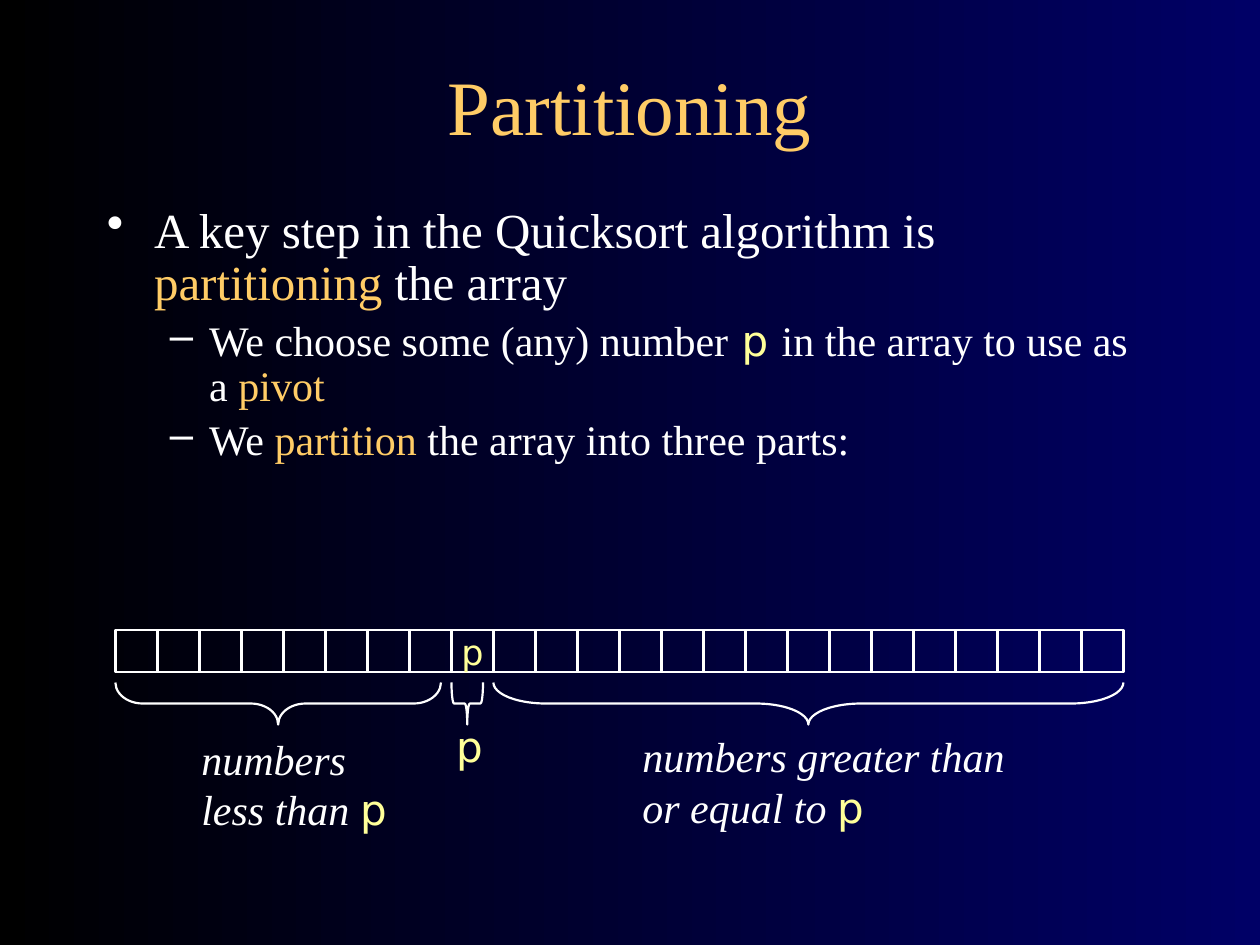
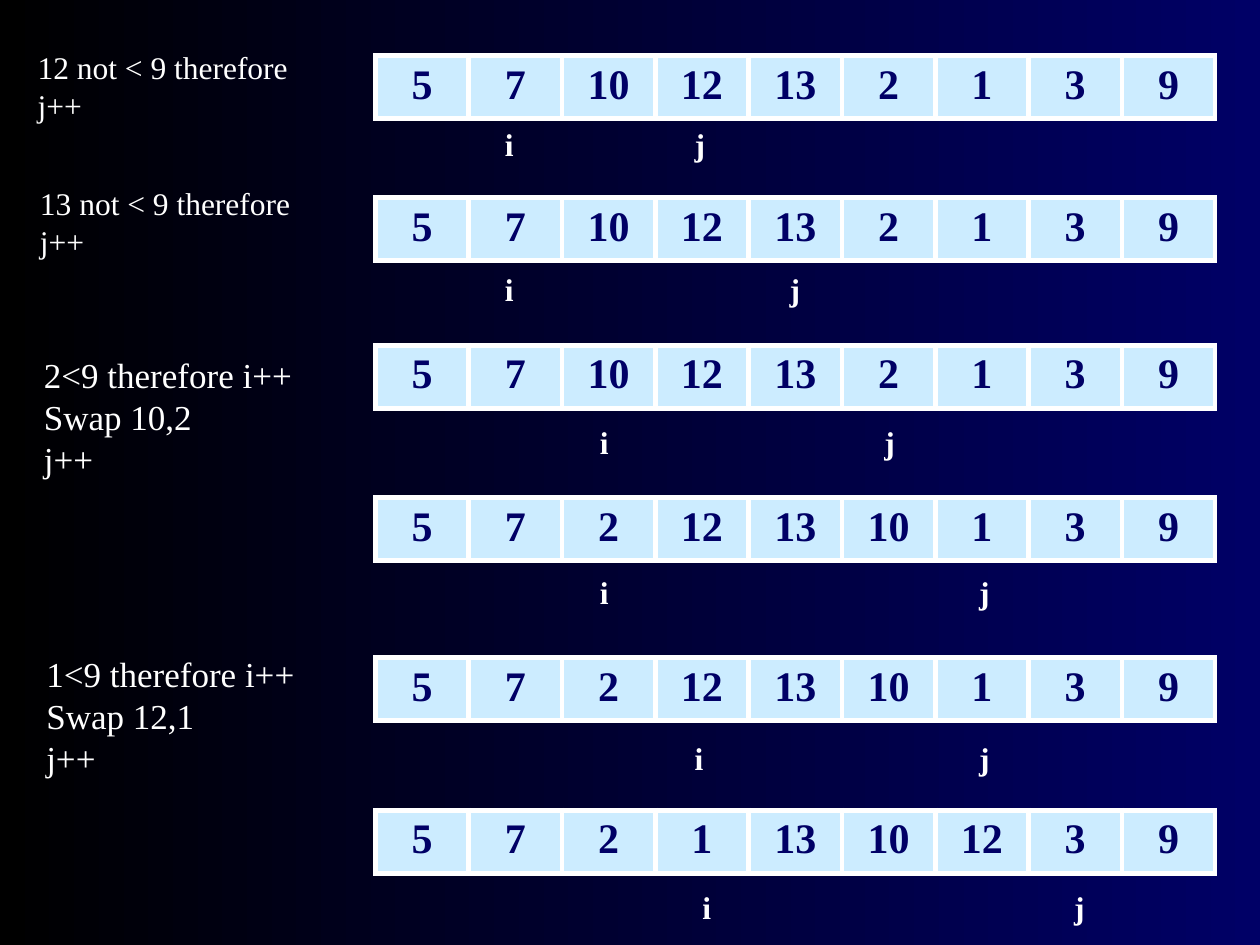
"""Two slides on the partitioning step of Quicksort."""
import pptx
import pptx.dml.color
import pptx.enum.shapes
import pptx.enum.text
import pptx.oxml
import pptx.oxml.ns
import pptx.util

Pt = pptx.util.Pt
RGBColor = pptx.dml.color.RGBColor
PP_ALIGN = pptx.enum.text.PP_ALIGN
MSO_ANCHOR = pptx.enum.text.MSO_ANCHOR
MSO_AUTO_SIZE = pptx.enum.text.MSO_AUTO_SIZE
MSO_SHAPE = pptx.enum.shapes.MSO_SHAPE

BLACK = RGBColor(0x00, 0x00, 0x00)
NAVY = RGBColor(0x00, 0x00, 0x66)
WHITE = RGBColor(0xFF, 0xFF, 0xFF)
GOLD = RGBColor(0xFF, 0xCC, 0x66)
YELLOW = RGBColor(0xFF, 0xFF, 0x99)
ICE = RGBColor(0xCC, 0xEC, 0xFF)

SERIF = "Times New Roman"
SANS = "DejaVu Sans"


def add_run(paragraph, text, size=24, color=WHITE, font=SERIF, bold=False, italic=False):
    """Append formatted text to a paragraph."""
    run = paragraph.add_run()
    run.text = text
    run.font.size = Pt(size)
    run.font.name = font
    run.font.color.rgb = color
    run.font.bold = bold
    run.font.italic = italic


def add_pivot(paragraph, text="p", size=24):
    """Append the pivot's name in its own font and colour."""
    add_run(paragraph, text, size=size, color=YELLOW, font=SANS)


def set_bullet(paragraph, mark, margin, hang):
    """Give a paragraph a hanging bullet."""
    properties = paragraph._p.get_or_add_pPr()
    properties.set("marL", str(Pt(margin)))
    properties.set("indent", str(-Pt(hang)))
    bullet = pptx.oxml.parse_xml(
        f'<a:buChar {pptx.oxml.ns.nsdecls("a")} char="{mark}"/>')
    properties.append(bullet)


def set_borders(cell, color, width):
    """Draw all four borders of a table cell."""
    properties = cell._tc.get_or_add_tcPr()
    for position, side in enumerate("LRTB"):
        border = pptx.oxml.parse_xml(
            f'<a:ln{side} {pptx.oxml.ns.nsdecls("a")} w="{Pt(width)}">'
            f'<a:solidFill><a:srgbClr val="{color}"/></a:solidFill></a:ln{side}>')
        properties.insert(position, border)


class Deck:
    """The shared style, the current slide and the elements drawn on it."""

    def __init__(self):
        """Start an empty 10 by 7.5 inch presentation."""
        self.presentation = pptx.Presentation()
        self.presentation.slide_width = Pt(720)
        self.presentation.slide_height = Pt(540)
        self.slide = None
        self.layer = None

    def new_slide(self):
        """Add a slide with the black to navy background."""
        self.slide = self.presentation.slides.add_slide(
            self.presentation.slide_layouts[6])
        self.layer = self.slide.shapes
        background = self.slide.background.fill
        background.gradient()
        background.gradient_angle = 0
        for stop, color in zip(background.gradient_stops, (BLACK, NAVY)):
            stop.color.rgb = color

    def new_group(self):
        """Send the following shapes to a new group."""
        self.layer = self.slide.shapes.add_group_shape().shapes

    def text_box(self, left, top, width, height, wrap=True, grow=True):
        """Add an empty text box and return its frame."""
        box = self.layer.add_textbox(Pt(left), Pt(top), Pt(width), Pt(height))
        frame = box.text_frame
        frame.word_wrap = wrap
        if grow:
            frame.auto_size = MSO_AUTO_SIZE.SHAPE_TO_FIT_TEXT
        return frame

    def title(self, text):
        """Add the centred slide title."""
        frame = self.text_box(54, 30, 612, 60, grow=False)
        frame.vertical_anchor = MSO_ANCHOR.MIDDLE
        heading = frame.paragraphs[0]
        heading.alignment = PP_ALIGN.CENTER
        add_run(heading, text, size=44, color=GOLD)

    def outline(self, shape):
        """Leave a shape with only a thin white line."""
        shape.shadow.inherit = False
        shape.fill.background()
        shape.line.color.rgb = WHITE
        shape.line.width = Pt(1.25)

    def square(self, left, top, side):
        """Add one array slot and return it."""
        slot = self.layer.add_shape(
            MSO_SHAPE.RECTANGLE, Pt(left), Pt(top), Pt(side), Pt(side))
        self.outline(slot)
        return slot

    def brace(self, left, top, span, depth, curve):
        """Add a brace that opens upward over a horizontal span."""
        brace = self.layer.add_shape(
            MSO_SHAPE.LEFT_BRACE, Pt(left + (span - depth) / 2),
            Pt(top - (span - depth) / 2), Pt(depth), Pt(span))
        brace.rotation = 270
        brace.adjustments[0] = curve
        brace.adjustments[1] = 0.5
        self.outline(brace)

    def number_row(self, top, height, numbers):
        """Add a one-row table of numbers."""
        frame = self.layer.add_table(
            1, len(numbers), Pt(214.5), Pt(top), Pt(480), Pt(height))
        table = frame.table
        table.first_row = table.horz_banding = False
        for cell, number in zip(table.rows[0].cells, numbers):
            cell.fill.solid()
            cell.fill.fore_color.rgb = ICE
            set_borders(cell, WHITE, 3)
            paragraph = cell.text_frame.paragraphs[0]
            paragraph.alignment = PP_ALIGN.CENTER
            add_run(paragraph, str(number), color=NAVY, bold=True)

    def pointer(self, name, column, top):
        """Add an index name below a column of the number row."""
        frame = self.text_box(227.3 + 54.2 * column, top, 20, 29, wrap=False)
        add_run(frame.paragraphs[0], name, size=18, bold=True)

    def note(self, left, top, height, size, lines):
        """Add the explanation beside a number row."""
        frame = self.text_box(left, top, 158, height, wrap=False)
        for index, line in enumerate(lines):
            paragraph = frame.add_paragraph() if index else frame.paragraphs[0]
            add_run(paragraph, line, size=size)


def partitioning_slide(deck):
    """Explain the three parts of a partitioned array."""
    deck.new_slide()
    deck.title("Partitioning")

    body = deck.text_box(54, 114, 612, 202, grow=False)
    key_step = body.paragraphs[0]
    add_run(key_step, "A key step in the Quicksort algorithm is ", size=28)
    add_run(key_step, "partitioning", size=28, color=GOLD)
    add_run(key_step, " the array", size=28)
    choice = body.add_paragraph()
    add_run(choice, "We choose some (any) number")
    add_pivot(choice, " p ")
    add_run(choice, "in the array to use as a ")
    add_run(choice, "pivot", color=GOLD)
    parts = body.add_paragraph()
    add_run(parts, "We ")
    add_run(parts, "partition", color=GOLD)
    add_run(parts, " the array into three parts:")
    for paragraph, level, space in ((key_step, 0, 5.6), (choice, 1, 4.8), (parts, 1, 4.8)):
        paragraph.level = level
        paragraph.line_spacing = 0.9
        paragraph.space_before = Pt(space)
        if level:
            set_bullet(paragraph, "\u2013", 58.5, 22.5)
        else:
            set_bullet(paragraph, "\u2022", 27, 27)

    array_left, array_top, side = 66, 360, 24
    slot_count, pivot_index = 24, 8
    deck.new_group()
    for index in range(slot_count):
        slot = deck.square(array_left + index * side, array_top, side)
        if index == pivot_index:
            frame = slot.text_frame
            frame.word_wrap = False
            frame.vertical_anchor = MSO_ANCHOR.MIDDLE
            frame.paragraphs[0].alignment = PP_ALIGN.CENTER
            add_pivot(frame.paragraphs[0], size=20)

    brace_top = array_top + side + 6
    pivot_left = array_left + pivot_index * side
    greater_left = pivot_left + side
    for left, span, curve, label, place in (
            (array_left, 186, 0.65, "numbers less than ", (108, 415.5, 138, 65)),
            (greater_left, 360, 1.25, "numbers greater than or equal to ",
             (360, 414, 222, 65))):
        deck.new_group()
        deck.brace(left, brace_top, span, 24, curve)
        caption = deck.text_box(*place).paragraphs[0]
        add_run(caption, label, italic=True)
        add_pivot(caption)
    deck.new_group()
    deck.brace(pivot_left, brace_top, 18, 24, 0.08)
    add_pivot(deck.text_box(246, 408, 42, 36).paragraphs[0], " p ")


def trace_slide(deck):
    """Trace the indices i and j through the array."""
    deck.new_slide()
    numbers = [5, 7, 10, 12, 13, 2, 1, 3, 9]
    # Row top, row height, pointer top, column of i, column of j, columns swapped first
    steps = (
        (31.7, 34, 67.7, 1, 3, None),
        (113, 34, 150.5, 1, 4, None),
        (197.3, 34, 238.3, 2, 5, None),
        (284.2, 34, 324, 2, 6, (2, 5)),
        (375.8, 34, 419, 3, 6, None),
        (463, 36, 504, 3.08, 7, (3, 6)),
    )
    for top, height, pointer_top, i, j, swap in steps:
        if swap:
            first, second = swap
            numbers[first], numbers[second] = numbers[second], numbers[first]
        deck.number_row(top, height, numbers)
        deck.pointer("i", i, pointer_top)
        deck.pointer("j", j, pointer_top)

    deck.note(14.4, 23.8, 73, 18, ("12 not < 9 therefore", "j++ "))
    deck.note(15.8, 101.5, 73, 18, ("13 not < 9 therefore", "j++ "))
    deck.note(18, 198.7, 80, 20, ("2<9 therefore i++", "Swap 10,2 ", "j++"))
    deck.note(19.4, 369.4, 80, 20, ("1<9 therefore i++", "Swap 12,1 ", "j++"))


deck = Deck()
partitioning_slide(deck)
trace_slide(deck)
deck.presentation.save("out.pptx")
